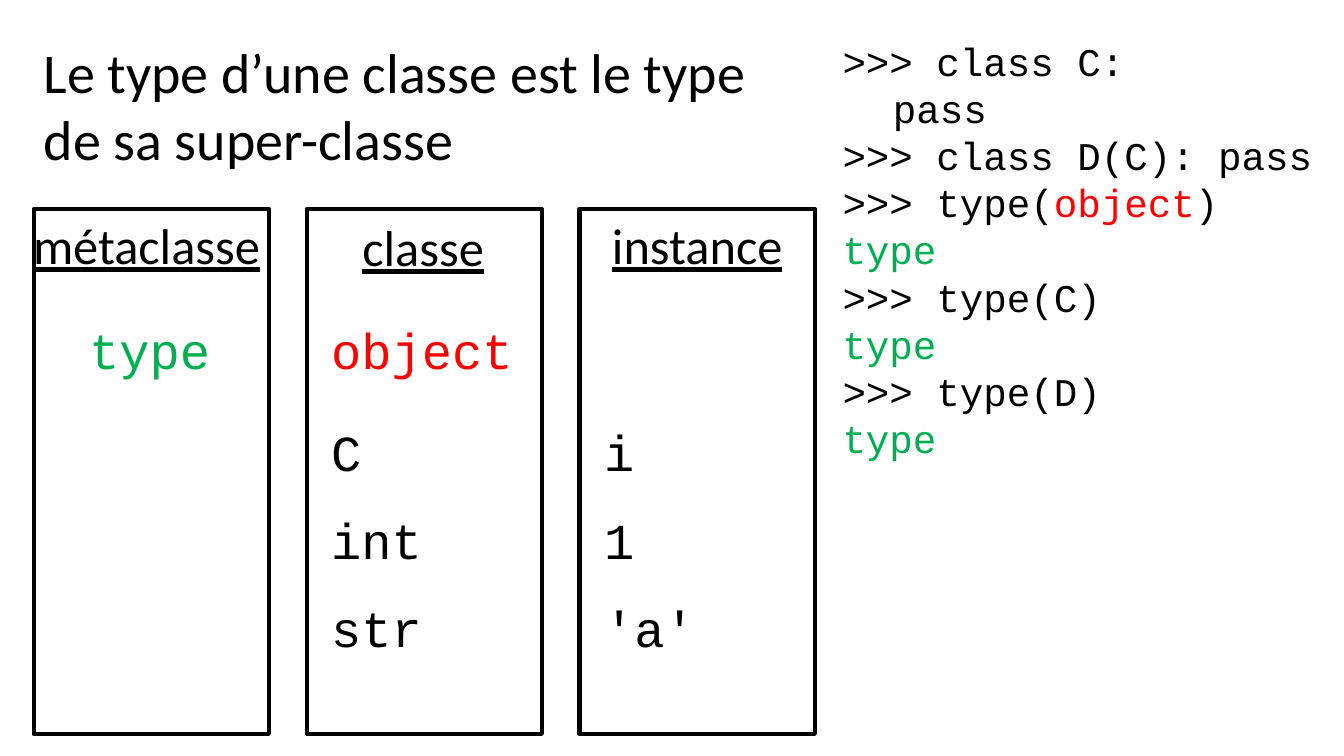
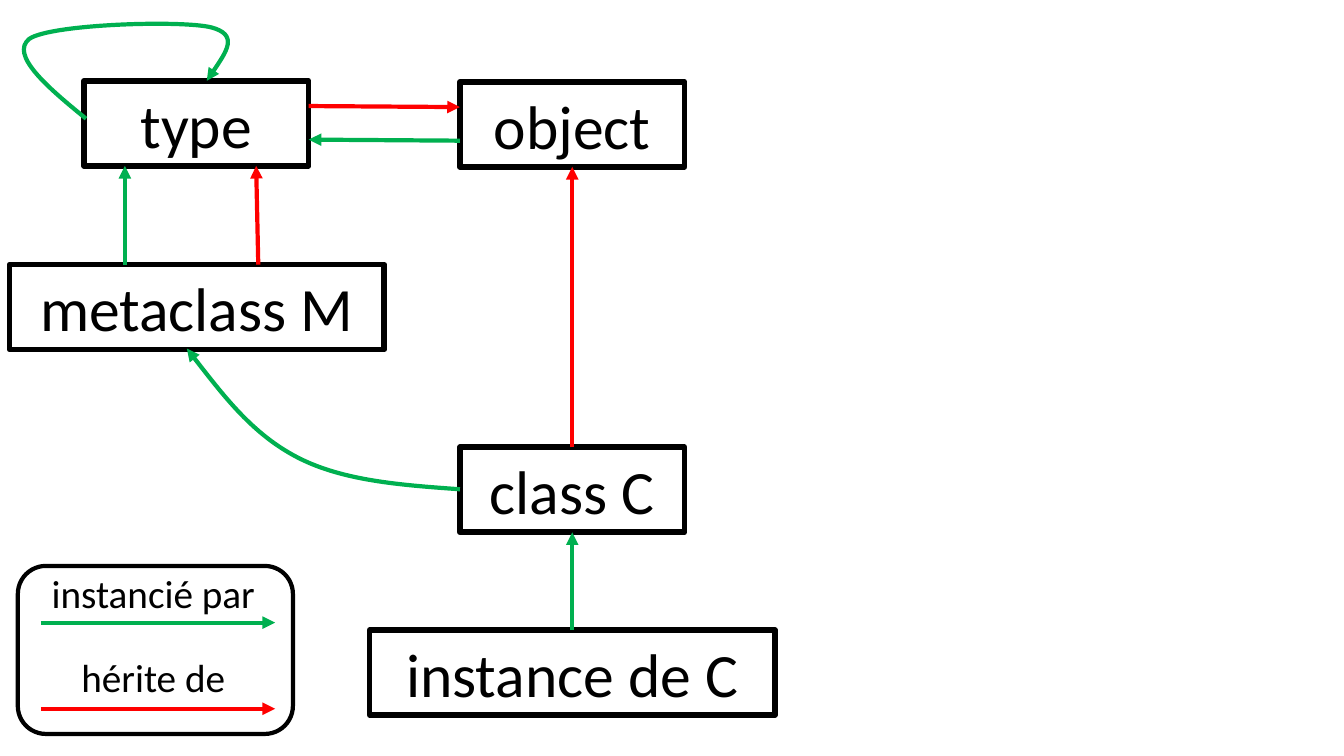
from dataclasses import dataclass

from lxml import etree
from pptx import Presentation
from pptx.dml.color import RGBColor
from pptx.enum.shapes import MSO_CONNECTOR, MSO_SHAPE
from pptx.enum.text import MSO_ANCHOR, PP_ALIGN
from pptx.oxml.ns import qn
from pptx.util import Pt

PX = 9525
LEFT, CENTER = PP_ALIGN.LEFT, PP_ALIGN.CENTER
TOP = MSO_ANCHOR.TOP
RECTANGLE, ROUNDED = MSO_SHAPE.RECTANGLE, MSO_SHAPE.ROUNDED_RECTANGLE
STRAIGHT = MSO_CONNECTOR.STRAIGHT
TOP_SIDE, BOTTOM_SIDE = 0, 2


@dataclass(frozen=True)
class Theme:
    ink: RGBColor = RGBColor(0x00, 0x00, 0x00)
    green: RGBColor = RGBColor(0x00, 0xB0, 0x50)
    red: RGBColor = RGBColor(0xFF, 0x00, 0x00)
    sans: str = "Calibri"
    mono: str = "Courier New"
    title: int = 40
    column: int = 36
    node: int = 44
    small: int = 28
    line: int = 3
    node_line: int = 4


theme = Theme()


def write(shape, lines, size, font=theme.sans, align=LEFT, underline=None):
    frame = shape.text_frame
    frame.word_wrap = True
    for number, line in enumerate(lines):
        paragraph = frame.add_paragraph() if number else frame.paragraphs[0]
        paragraph.alignment = align
        for text, color in line:
            run = paragraph.add_run()
            run.text = text
            run.font.size = Pt(size)
            run.font.name = font
            run.font.color.rgb = color
            run.font.underline = underline


def style_line(shape, color, width=theme.line, arrow=False):
    if hasattr(shape, "fill"):
        shape.fill.background()
    shape.line.color.rgb = color
    shape.line.width = Pt(width)
    properties = shape._element.spPr
    if arrow:
        etree.SubElement(properties.find(qn("a:ln")), qn("a:tailEnd"), type="triangle")
    etree.SubElement(properties, qn("a:effectLst"))


prs = Presentation()
prs.slide_width, prs.slide_height = 1280 * PX, 720 * PX
title_only, blank = prs.slide_layouts[5], prs.slide_layouts[6]

types_slide = prs.slides.add_slide(title_only)
shapes = types_slide.shapes

title = shapes.title
title.left, title.top, title.width, title.height = (v * PX for v in (32, 31, 744, 139))
title.text_frame.vertical_anchor = TOP
write(title, [[("Le type d’une classe est le type de sa super-classe", theme.ink)]], theme.title)

column_left, column_step, column_top = 32, 260, 199
row_tops = [299] + [396 + 84 * i for i in range(3)]
columns = [
    ("métaclasse", LEFT, (22, 199, 242), CENTER, [("type", theme.green)]),
    ("classe", CENTER, (282, 201, 242), LEFT,
     [("object", theme.red), ("C", theme.ink), ("int", theme.ink), ("str", theme.ink)]),
    ("instance", CENTER, (552, 199, 224), LEFT,
     [None, ("i", theme.ink), ("1", theme.ink), ("'a'", theme.ink)]),
]
for index, (heading, heading_align, place, align, entries) in enumerate(columns):
    left = column_left + index * column_step
    column = shapes.add_shape(RECTANGLE, left * PX, column_top * PX, 224 * PX, 500 * PX)
    style_line(column, theme.ink)
    heading_box = shapes.add_textbox(*(v * PX for v in (*place, 68)))
    write(heading_box, [[(heading, theme.ink)]], theme.column, align=heading_align, underline=True)
    for top, entry in zip(row_tops, entries):
        if entry:
            entry_box = shapes.add_textbox((left + 14) * PX, top * PX, 193 * PX, 68 * PX)
            write(entry_box, [[entry]], theme.column, theme.mono, align)

answer = [("type", theme.green)]
session = [
    [(">>> class C:", theme.ink)],
    [("\tpass", theme.ink)],
    [(">>> class D(C): pass", theme.ink)],
    [(">>> type(", theme.ink), ("object", theme.red), (")", theme.ink)],
    answer,
    [(">>> type(C)", theme.ink)],
    answer,
    [(">>> type(D)", theme.ink)],
    answer,
]
session_box = shapes.add_textbox(793 * PX, 31 * PX, 487 * PX, 417 * PX)
write(session_box, session, theme.small, theme.mono)

diagram_slide = prs.slides.add_slide(blank)
shapes = diagram_slide.shapes

nodes = {}
for label, left, top, width in [
    ("class C", 438, 426, 214),
    ("metaclass M", 9, 252, 357),
    ("object", 438, 78, 214),
    ("instance de C", 352, 600, 386),
    ("type", 80, 77, 214),
]:
    node = shapes.add_shape(RECTANGLE, left * PX, top * PX, width * PX, 81 * PX)
    style_line(node, theme.ink, theme.node_line)
    write(node, [[(label, theme.ink)]], theme.node, align=CENTER)
    nodes[label] = node

for child, parent, color in [
    ("instance de C", "class C", theme.green),
    ("class C", "object", theme.red),
]:
    relation = shapes.add_connector(STRAIGHT, 0, 0, 0, 0)
    relation.begin_connect(nodes[child], TOP_SIDE)
    relation.end_connect(nodes[parent], BOTTOM_SIDE)
    style_line(relation, color, arrow=True)

for *ends, color in [
    (438, 134, 294, 133, theme.green),
    (294, 101, 438, 102, theme.red),
    (119, 252, 119, 158, theme.green),
    (246, 252, 244, 158, theme.red),
]:
    relation = shapes.add_connector(STRAIGHT, *(v * PX for v in ends))
    style_line(relation, color, arrow=True)

type_loop = [(82, 113), (45, 83), (9, 52), (28, 37), (48, 23), (172, 19), (201, 26),
             (228, 33), (212, 55), (197, 77)]
class_to_metaclass = [(438, 466), (382, 462), (327, 458), (284, 436),
                      (241, 414), (209, 372), (178, 332)]
for start, *controls in (type_loop, class_to_metaclass):
    builder = shapes.build_freeform(*start, scale=PX)
    curve = builder.add_line_segments(controls, close=False).convert_to_shape()
    outline = curve._element.spPr.find(".//" + qn("a:path"))
    segments = outline.findall(qn("a:lnTo"))
    for first in range(0, len(segments), 3):
        bezier = etree.SubElement(outline, qn("a:cubicBezTo"))
        for segment in segments[first:first + 3]:
            bezier.append(segment[0])
            outline.remove(segment)
    style_line(curve, theme.green, arrow=True)

legend = shapes.add_group_shape().shapes
for meaning, text_top, arrow_top, color in [
    ("instancié par", 537, 593, theme.green),
    ("hérite de", 617, 675, theme.red),
]:
    sample = legend.add_connector(STRAIGHT, 39 * PX, arrow_top * PX, 262 * PX, arrow_top * PX)
    style_line(sample, color, arrow=True)
    meaning_box = legend.add_textbox(0, text_top * PX, 292 * PX, 55 * PX)
    write(meaning_box, [[(meaning, theme.ink)]], theme.small, align=CENTER)
legend_frame = legend.add_shape(ROUNDED, 17 * PX, 539 * PX, 262 * PX, 160 * PX)
style_line(legend_frame, theme.ink)

prs.save("out.pptx")
